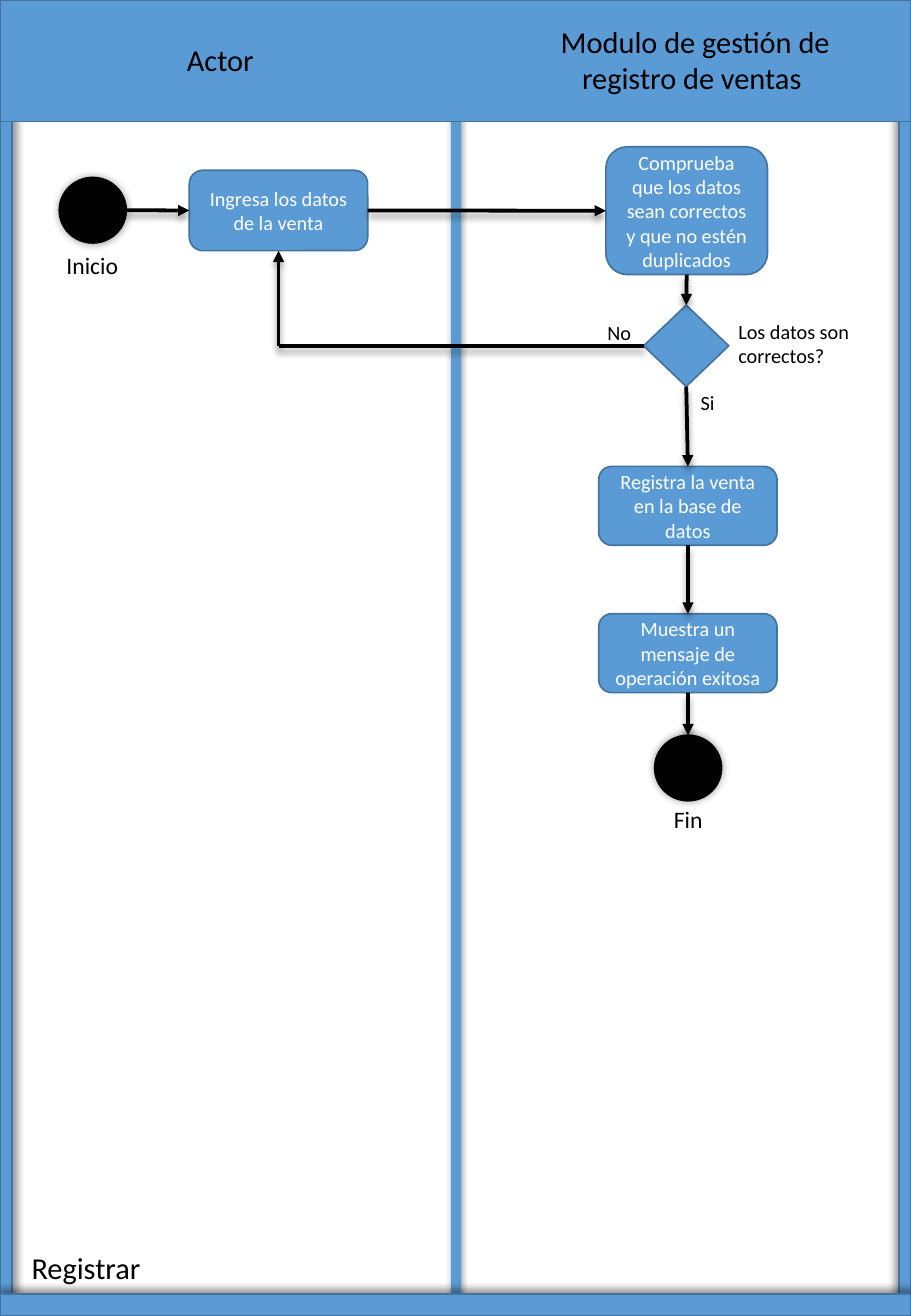
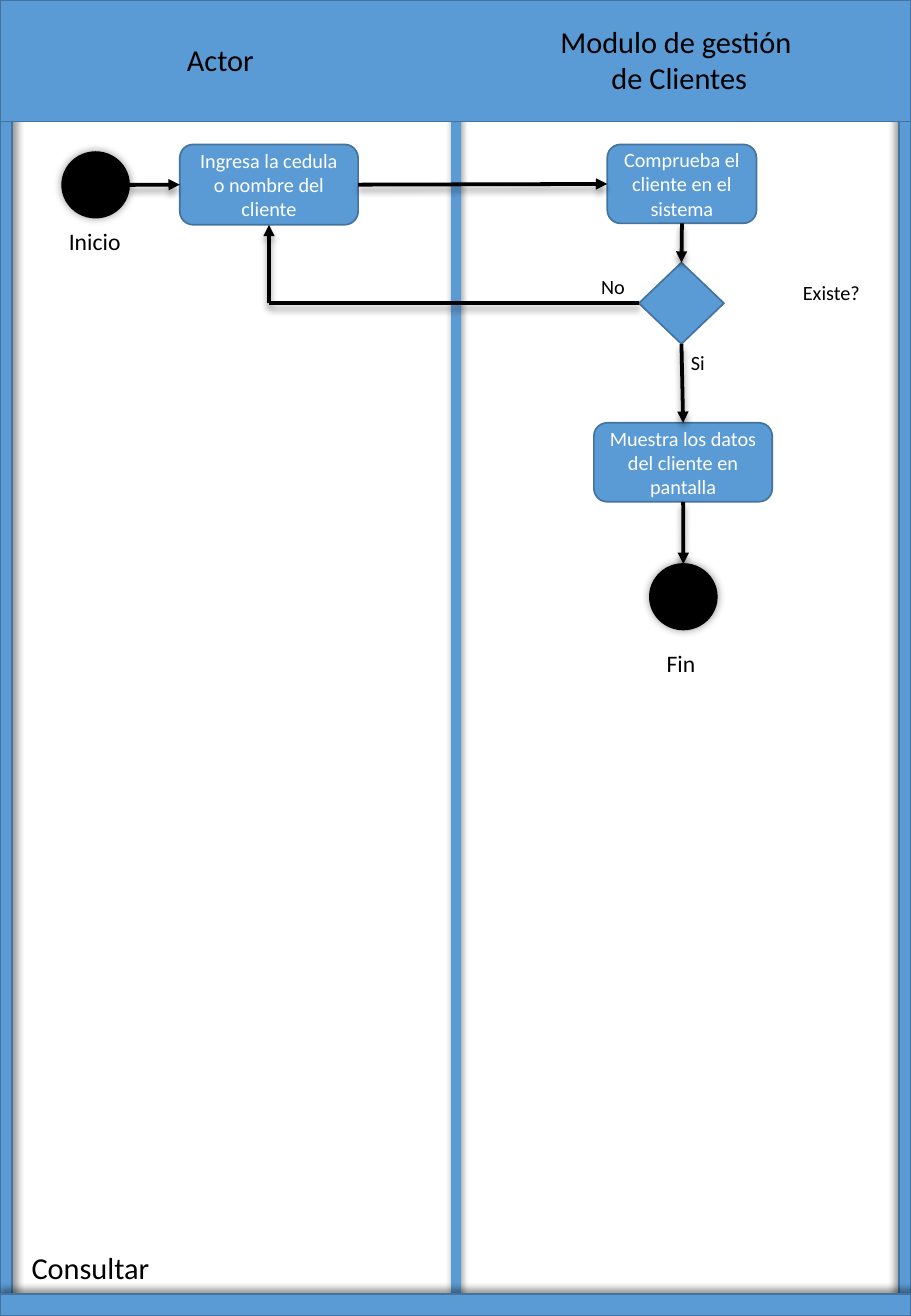
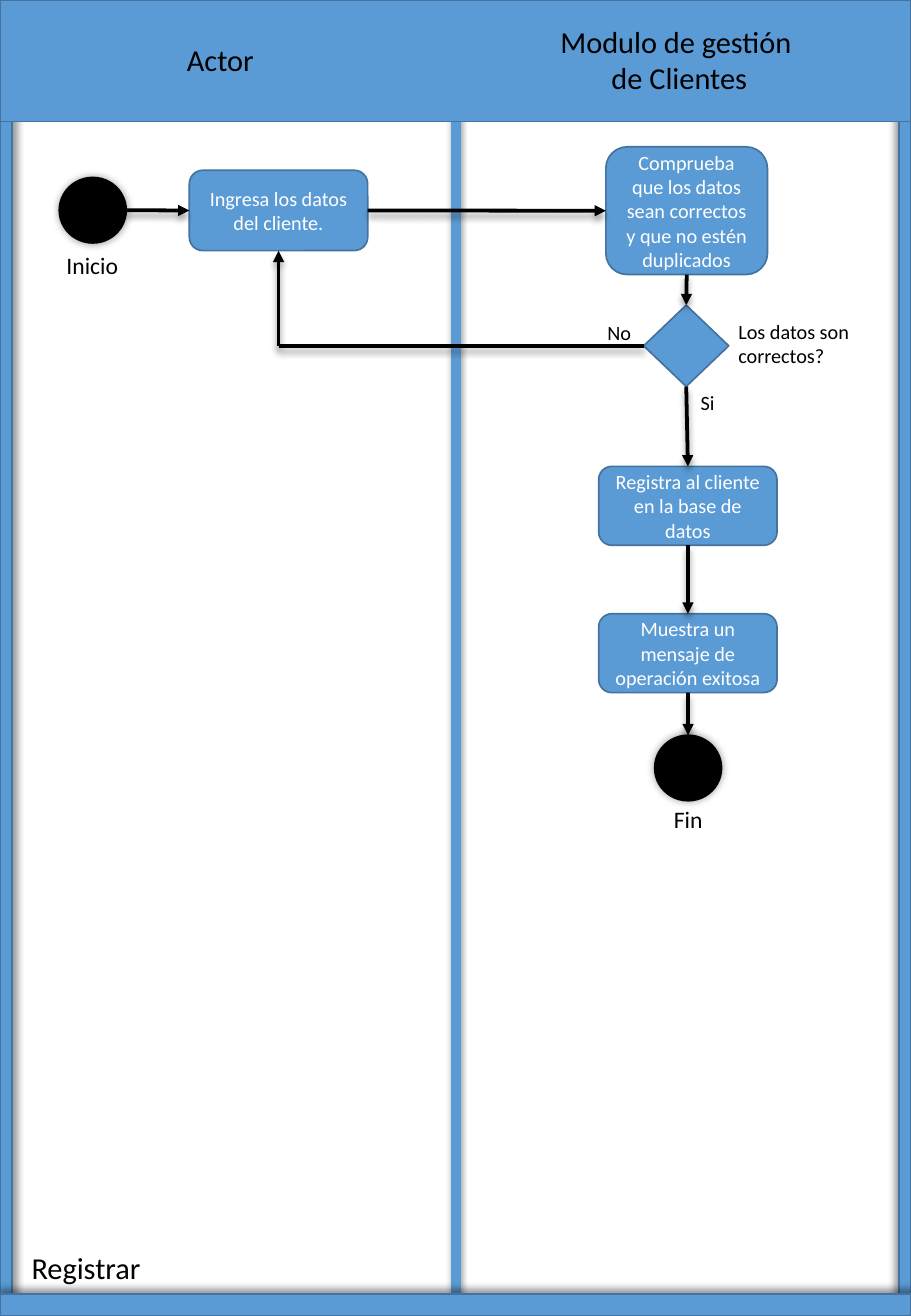
"""Build three activity diagrams with an actor lane and a module lane."""
from dataclasses import dataclass
from itertools import pairwise

from lxml import etree
from pptx import Presentation
from pptx.dml.color import RGBColor
from pptx.enum.shapes import MSO_CONNECTOR, MSO_SHAPE
from pptx.enum.text import MSO_AUTO_SIZE, PP_ALIGN
from pptx.oxml.ns import qn
from pptx.util import Cm, Pt

RECT = MSO_SHAPE.RECTANGLE
ROUND = MSO_SHAPE.ROUNDED_RECTANGLE
DECISION = MSO_SHAPE.FLOWCHART_DECISION
ELLIPSE = MSO_SHAPE.OVAL
STRAIGHT = MSO_CONNECTOR.STRAIGHT
GROW = MSO_AUTO_SIZE.SHAPE_TO_FIT_TEXT
LEFT, CENTER = PP_ALIGN.LEFT, PP_ALIGN.CENTER
TOP_SIDE, LEFT_SIDE, BOTTOM_SIDE, RIGHT_SIDE = range(4)


@dataclass(frozen=True)
class Theme:
    blue: RGBColor = RGBColor(0x5B, 0x9B, 0xD5)
    edge: RGBColor = RGBColor(0x43, 0x73, 0x9E)
    black: RGBColor = RGBColor(0, 0, 0)
    white: RGBColor = RGBColor(255, 255, 255)
    font: str = "Calibri"
    heading: Pt = Pt(18)
    caption: Pt = Pt(14)
    body: Pt = Pt(12)
    outline: Pt = Pt(1)
    arrow: Pt = Pt(2.25)
    divider: Pt = Pt(6)


THEME = Theme()
WIDTH, HEIGHT = 19.05, 27.51

BARS = [
    ((0, 0, 0.25, HEIGHT), 45),
    ((18.8, 0, 0.25, HEIGHT), 225),
    ((0, 27.05, WIDTH, 0.46), 270),
    ((0, 0, WIDTH, 2.54), None),
]

REGISTER = {
    "start": (ELLIPSE, (1.24, 3.71, 1.4, 1.37)),
    "entry": (ROUND, (3.96, 3.56, 3.73, 1.68)),
    "check": (ROUND, (12.67, 3.07, 3.38, 2.67)),
    "decision": (DECISION, (13.46, 6.38, 1.78, 1.7)),
    "store": (ROUND, (12.52, 9.75, 3.73, 1.65)),
    "confirm": (ROUND, (12.52, 12.83, 3.73, 1.65)),
    "end": (ELLIPSE, (13.69, 15.37, 1.4, 1.37)),
}
REGISTER_LABELS = [
    ("Inicio", (1.14, 5.13, 1.6, 0.86), THEME.caption),
    ("Los datos son\ncorrectos?", (15.19, 6.55, 2.95, 1.27), THEME.body),
    ("No", (12.45, 6.58, 1.02, 0.76), THEME.body),
    ("Si", (14.4, 8.03, 0.81, 0.76), THEME.body),
    ("Fin", (13.84, 16.71, 1.12, 0.86), THEME.caption),
]
REGISTER_TEXTS = {
    "check": "Comprueba que los datos sean correctos y que no estén duplicados",
    "confirm": "Muestra un mensaje de operación exitosa",
}

CONSULT = {
    "start": (ELLIPSE, (1.3, 3.18, 1.4, 1.37)),
    "entry": (ROUND, (3.76, 3.02, 3.73, 1.68)),
    "check": (ROUND, (12.7, 3.02, 3.12, 1.65)),
    "decision": (DECISION, (13.36, 5.49, 1.78, 1.7)),
    "show": (ROUND, (12.42, 8.84, 3.73, 1.65)),
    "end": (ELLIPSE, (13.59, 11.79, 1.4, 1.37)),
}
CONSULT_LABELS = [
    ("Inicio", (1.19, 4.62, 1.6, 0.86), THEME.caption),
    ("Existe?", (16.54, 5.74, 1.73, 0.76), THEME.body),
    ("No", (12.32, 5.61, 1.02, 0.76), THEME.body),
    ("Si", (14.2, 7.19, 0.81, 0.76), THEME.body),
    ("Fin", (13.69, 13.44, 1.12, 0.86), THEME.caption),
]
CONSULT_TEXTS = {
    "entry": "Ingresa la cedula o nombre del cliente",
    "check": "Comprueba el cliente en el sistema",
    "show": "Muestra los datos del cliente en pantalla",
}

SALES_TEXTS = REGISTER_TEXTS | {
    "entry": "Ingresa los datos de la venta",
    "store": "Registra la venta en la base de datos",
}
CLIENT_TEXTS = REGISTER_TEXTS | {
    "entry": "Ingresa los datos del cliente.",
    "store": "Registra al cliente en la base de datos",
}
SALES_MODULE = ("Modulo de gestión de\nregistro de ventas ", 6.22)
CLIENT_MODULE = ("Modulo de gestión\n de Clientes", 5.41)

PAGES = [
    (SALES_MODULE, ("Registrar", 2.82), REGISTER, SALES_TEXTS, REGISTER_LABELS),
    (CLIENT_MODULE, ("Consultar", 3), CONSULT, CONSULT_TEXTS, CONSULT_LABELS),
    (CLIENT_MODULE, ("Registrar", 2.82), REGISTER, CLIENT_TEXTS, REGISTER_LABELS),
]


def set_shadow(item, angle=None, blur=4, distance=3):
    """Replace the inherited shadow, with none when no angle is given."""
    effects = etree.SubElement(item._element.spPr, qn("a:effectLst"))
    if angle is None:
        return
    values = {"blurRad": Pt(blur), "dist": Pt(distance), "dir": angle * 60000}
    shadow = etree.SubElement(effects, qn("a:outerShdw"), algn="ctr", rotWithShape="0")
    for name, value in values.items():
        shadow.set(name, str(value))
    color = etree.SubElement(shadow, qn("a:srgbClr"), val=str(THEME.black))
    etree.SubElement(color, qn("a:alpha"), val="40000")


def write_text(box, text, size, color, align):
    """Write one paragraph per line of text."""
    box.text_frame.text = text
    for para in box.text_frame.paragraphs:
        para.alignment = align
        for span in para.runs:
            for name, value in {"name": THEME.font, "size": size}.items():
                setattr(span.font, name, value)
            span.font.color.rgb = color


deck = Presentation()
deck.slide_width, deck.slide_height = Cm(WIDTH), Cm(HEIGHT)

for (module, module_width), (action, action_width), layout, texts, labels in PAGES:
    page = deck.slides.add_slide(deck.slide_layouts[6])

    divider = page.shapes.add_connector(STRAIGHT, Cm(9.54), 0, Cm(9.54), Cm(HEIGHT))
    divider.line.color.rgb = THEME.blue
    divider.line.width = THEME.divider
    set_shadow(divider, 270)

    for place, angle in BARS:
        bar = page.shapes.add_shape(RECT, *map(Cm, place))
        bar.fill.solid()
        bar.fill.fore_color.rgb = THEME.blue
        bar.line.color.rgb = THEME.edge
        bar.line.width = THEME.outline
        set_shadow(bar, angle)

    nodes = {}
    for name, (kind, place) in layout.items():
        node = page.shapes.add_shape(kind, *map(Cm, place))
        terminal = kind == ELLIPSE
        node.fill.solid()
        node.fill.fore_color.rgb = THEME.black if terminal else THEME.blue
        node.line.color.rgb = THEME.black if terminal else THEME.edge
        node.line.width = THEME.outline
        if terminal:
            set_shadow(node, 0, blur=5, distance=0)
        else:
            set_shadow(node)
        if name in texts:
            write_text(node, texts[name], THEME.body, THEME.white, CENTER)
        nodes[name] = node

    start, entry, check, decision = list(nodes.values())[:4]
    middle = start.top + start.height // 2
    corner = (entry.left + entry.width // 2, decision.top + decision.height // 2)
    right_edge = (start.left + start.width, middle)
    links = [
        (right_edge, None, entry, LEFT_SIDE, True),
        (entry, RIGHT_SIDE, check, LEFT_SIDE, True),
        (decision, LEFT_SIDE, corner, None, False),
        (corner, None, entry, BOTTOM_SIDE, True),
    ]
    for upper, lower in pairwise(list(nodes.values())[2:]):
        links.append((upper, BOTTOM_SIDE, lower, TOP_SIDE, True))

    for source, source_side, target, target_side, has_head in links:
        begin = source if source_side is None else (0, 0)
        finish = target if target_side is None else (0, 0)
        link = page.shapes.add_connector(STRAIGHT, *begin, *finish)
        if source_side is not None:
            link.begin_connect(source, source_side)
        if target_side is not None:
            link.end_connect(target, target_side)
        link.line.color.rgb = THEME.black
        link.line.width = THEME.arrow
        if has_head:
            outline = link._element.spPr.find(qn("a:ln"))
            etree.SubElement(outline, qn("a:tailEnd"), type="triangle")
        set_shadow(link, 90)

    headings = [
        ("Actor", (3.66, 0.74, 1.93, 1.02), THEME.heading),
        (module, (11.43, 0.36, module_width, 1.8), THEME.heading),
        (action, (0.41, 25.98, action_width, 1.02), THEME.heading),
    ]
    for text, place, size in headings + labels:
        box = page.shapes.add_textbox(*map(Cm, place))
        box.text_frame.word_wrap = False
        box.text_frame.auto_size = GROW
        write_text(box, text, size, THEME.black, CENTER if text == module else LEFT)

deck.save("out.pptx")
